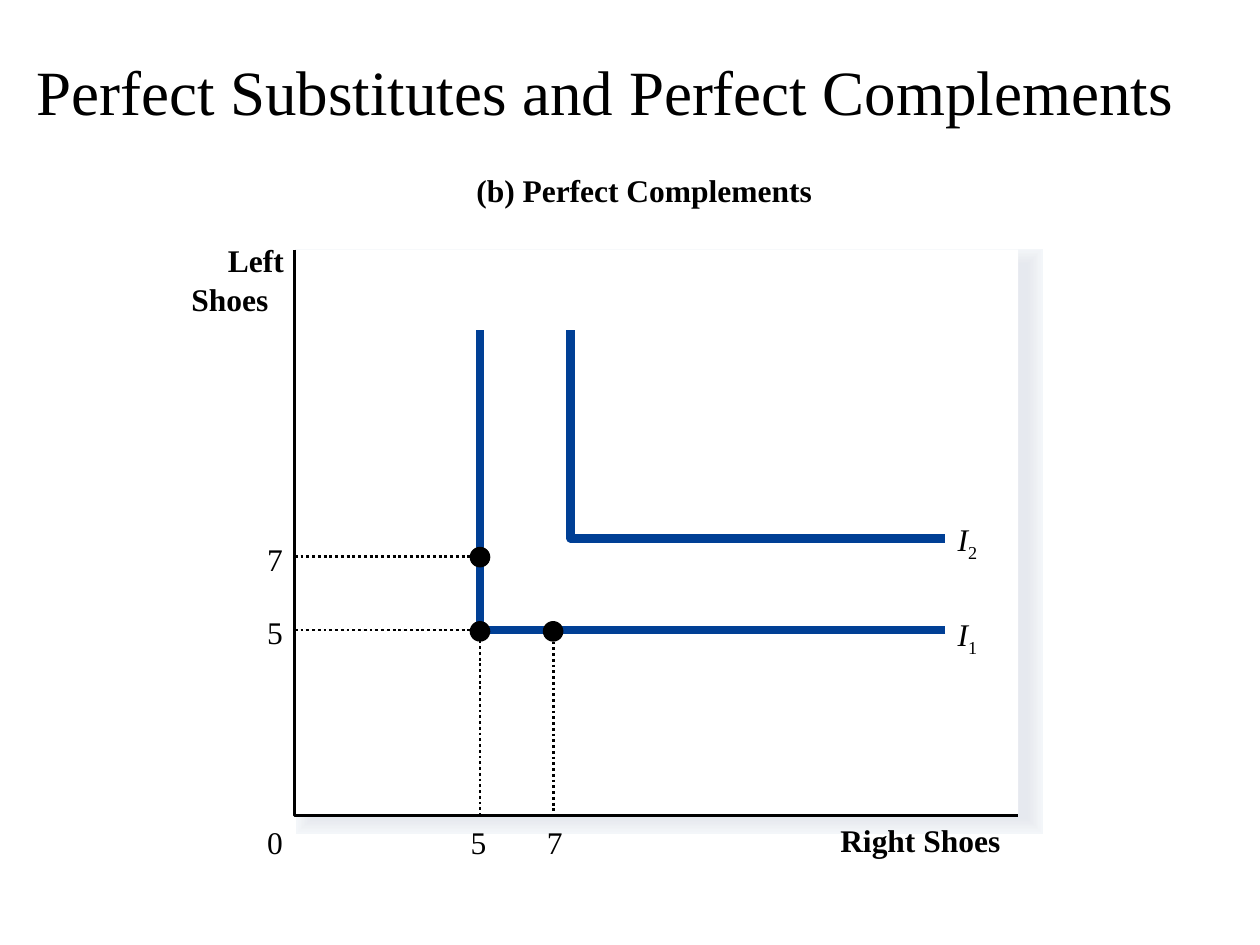
from lxml.etree import SubElement
from pptx import Presentation
from pptx.dml.color import RGBColor
from pptx.enum.dml import MSO_LINE_DASH_STYLE as Dash
from pptx.enum.shapes import MSO_CONNECTOR_TYPE as Connector, MSO_SHAPE as Shape
from pptx.enum.text import MSO_ANCHOR as Anchor, MSO_AUTO_SIZE as AutoSize, PP_ALIGN as Align
from pptx.oxml.ns import qn
from pptx.util import Pt

BLACK = RGBColor(0x00, 0x00, 0x00)
WHITE = RGBColor(0xFF, 0xFF, 0xFF)
CURVE_BLUE = RGBColor(0x00, 0x3F, 0x95)
SHADOW_COLORS = [RGBColor.from_string(code) for code in (
    "F3F6F9", "F2F4F8", "F1F4F7", "F0F2F5", "EEF1F4", "EDEFF3",
    "EBEEF2", "EAECF1", "E9EBF0", "E7EAEF", "E6E9EF")]

FONT = "Times New Roman"
THIN, THICK = 1.63, 5
SHADOW_WIDEST, SHADOW_STEP = 18.38, 1.675
AXIS_LEFT, AXIS_TOP, AXIS_RIGHT, AXIS_BOTTOM = 168.5, 142.6, 581.8, 465.8
X_FIVE, X_SEVEN = 274.3, 316.1
Y_FIVE, Y_SEVEN = 360, 317.9
CURVE_TOP, CURVE_RIGHT = 188.6, 540
DOT = 11.8
X_LABEL_TOP, Y_LABEL_LEFT = 470.2, 152.6


def set_font(font, **values):
    formats = {"name": FONT, "size": Pt(18)} | values
    for name, value in formats.items():
        setattr(font, name, value)
    font.color.rgb = BLACK


def set_line(line, color, width, dash=None):
    line.color.rgb = color
    line.width = Pt(width)
    line.dash_style = dash


def add_title(slide, text):
    title = slide.shapes.title
    box = {"left": Pt(13.7), "top": Pt(9.4), "width": Pt(670.3), "height": Pt(90)}
    for name, value in box.items():
        setattr(title, name, value)
    frame = title.text_frame
    frame.text = text
    frame.auto_size = AutoSize.NONE
    frame.vertical_anchor = Anchor.MIDDLE
    paragraph = frame.paragraphs[0]
    paragraph.alignment = Align.LEFT
    paragraph.line_spacing = 0.9
    set_font(paragraph.runs[0].font, size=Pt(36))


def add_label(shapes, left, top, width, text, subscript=None, **values):
    frame = shapes.add_textbox(Pt(left), Pt(top), Pt(width), Pt(21.6)).text_frame
    formats = {"margin_left": 0, "margin_top": 0, "margin_right": 0, "margin_bottom": 0,
               "word_wrap": False, "auto_size": AutoSize.SHAPE_TO_FIT_TEXT}
    for name, value in formats.items():
        setattr(frame, name, value)
    paragraph = frame.paragraphs[0]
    run = paragraph.add_run()
    run.text = text
    set_font(run.font, **values)
    if subscript:
        run = paragraph.add_run()
        run.text = subscript
        set_font(run.font)
        run.font._element.set("baseline", "-25000")


def add_panel(shapes, left, top, width, height, color, border=None):
    panel = shapes.add_shape(Shape.RECTANGLE, Pt(left), Pt(top), Pt(width), Pt(height))
    panel.shadow.inherit = False
    panel.fill.solid()
    panel.fill.fore_color.rgb = color
    if border:
        set_line(panel.line, color, border)
        SubElement(panel.line._get_or_add_ln(), qn("a:miter"), lim="800000")
    else:
        panel.line.fill.background()


def add_path(shapes, points, color, width, dash=None):
    start, *rest = [(Pt(x), Pt(y)) for x, y in points]
    builder = shapes.build_freeform(*start)
    builder.add_line_segments(rest, close=False)
    path = builder.convert_to_shape()
    path.shadow.inherit = False
    path.fill.background()
    set_line(path.line, color, width, dash)


def add_guide(shapes, start, end):
    guide = shapes.add_connector(Connector.STRAIGHT, *[Pt(value) for value in start + end])
    set_line(guide.line, BLACK, THIN, Dash.ROUND_DOT)
    SubElement(guide._element.spPr, qn("a:effectLst"))


def add_dot(shapes, x, y):
    dot = shapes.add_shape(Shape.OVAL, Pt(x - DOT / 2), Pt(y - DOT / 2), Pt(DOT), Pt(DOT))
    dot.shadow.inherit = False
    dot.fill.solid()
    dot.fill.fore_color.rgb = BLACK
    dot.line.fill.background()


def add_curve(slide, corner_x, corner_y, label_top, number):
    shapes = slide.shapes.add_group_shape().shapes
    points = [(CURVE_RIGHT, corner_y), (corner_x, corner_y), (corner_x, CURVE_TOP)]
    add_path(shapes, points, CURVE_BLUE, THICK)
    add_label(shapes, 547.2, label_top, 11.5, "I", number, italic=True)


def add_plot_area(slide):
    shapes = slide.shapes
    for index, color in enumerate(SHADOW_COLORS):
        add_panel(shapes, 178.6, 151.2, 408.2, 316.1, color, SHADOW_WIDEST - index * SHADOW_STEP)
    add_panel(shapes, AXIS_LEFT, AXIS_TOP, AXIS_RIGHT - AXIS_LEFT, AXIS_BOTTOM - AXIS_TOP, WHITE)
    axes = [(AXIS_LEFT, AXIS_TOP), (AXIS_LEFT, AXIS_BOTTOM), (AXIS_RIGHT, AXIS_BOTTOM)]
    add_path(shapes, axes, BLACK, THIN)
    add_label(shapes, Y_LABEL_LEFT, X_LABEL_TOP, 10, "0")
    for left, top, width, text in (
            (480.2, 469.4, 105.1, "Right Shoes"),
            (130.3, 137.5, 33.1, "Left"),
            (109.4, 159.8, 54, "Shoes"),
            (272.2, 97.9, 213.1, "(b) Perfect Complements")):
        add_label(shapes, left, top, width, text, bold=True)


def add_seven_points(slide):
    shapes = slide.shapes.add_group_shape().shapes
    add_guide(shapes, (X_SEVEN, Y_FIVE), (X_SEVEN, AXIS_BOTTOM))
    add_dot(shapes, X_SEVEN, Y_FIVE + 0.8)
    add_label(shapes, 312.5, X_LABEL_TOP, 10, "7")
    add_guide(shapes, (AXIS_LEFT, Y_SEVEN), (X_FIVE, Y_SEVEN))
    add_dot(shapes, X_FIVE, Y_SEVEN + 0.5)
    add_label(shapes, Y_LABEL_LEFT, 308.5, 10, "7")


def add_five_point(slide):
    shapes = slide.shapes.add_group_shape().shapes
    points = [(AXIS_LEFT, Y_FIVE), (X_FIVE, Y_FIVE), (X_FIVE, AXIS_BOTTOM)]
    add_path(shapes, points, BLACK, THIN, Dash.ROUND_DOT)
    add_dot(shapes, X_FIVE, Y_FIVE + 0.8)
    add_label(shapes, 268.9, X_LABEL_TOP, 10, "5")
    add_label(shapes, Y_LABEL_LEFT, 350.6, 10, "5")


def main():
    presentation = Presentation()
    presentation.slide_width, presentation.slide_height = Pt(720), Pt(540)
    slide = presentation.slides.add_slide(presentation.slide_layouts[5])
    add_title(slide, "Perfect Substitutes and Perfect Complements")
    add_plot_area(slide)
    add_curve(slide, X_FIVE, Y_FIVE, 351.4, "1")
    add_curve(slide, 326.2, 307.6, 297.4, "2")
    add_seven_points(slide)
    add_five_point(slide)
    presentation.save("out.pptx")


if __name__ == "__main__":
    main()
